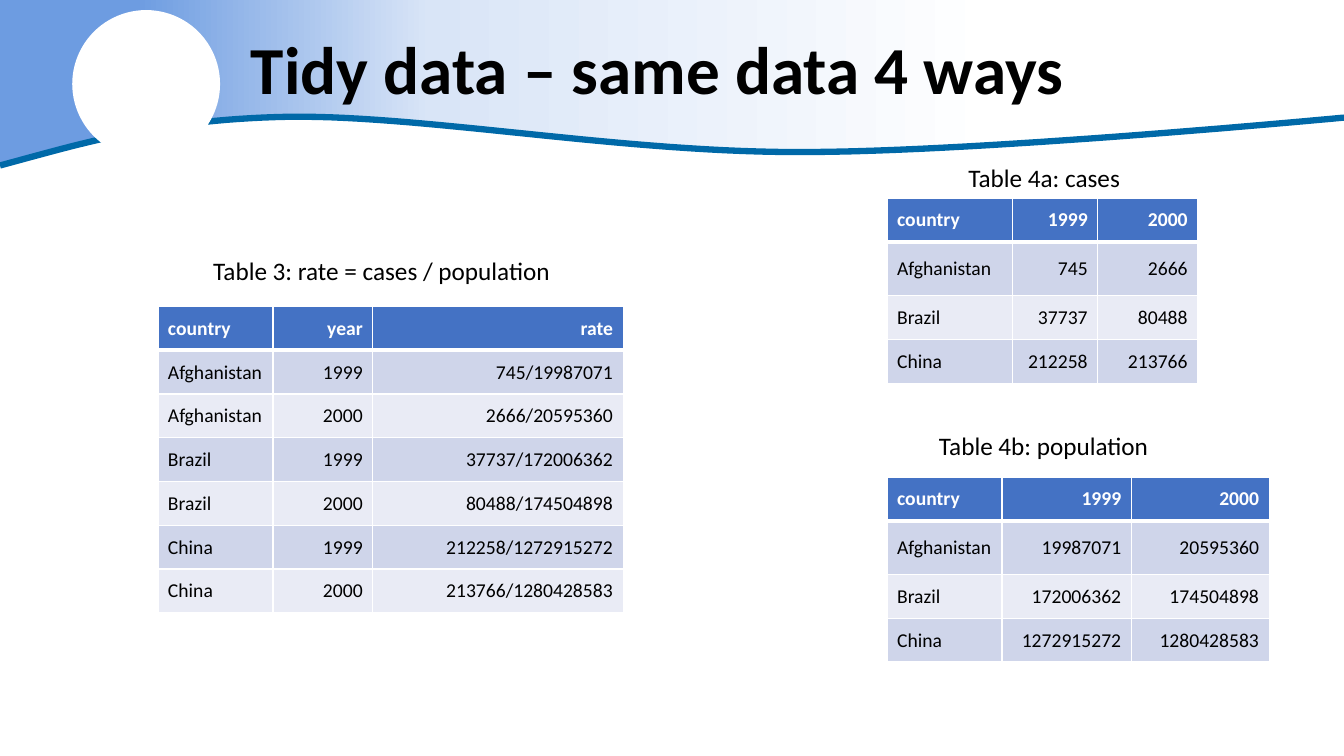
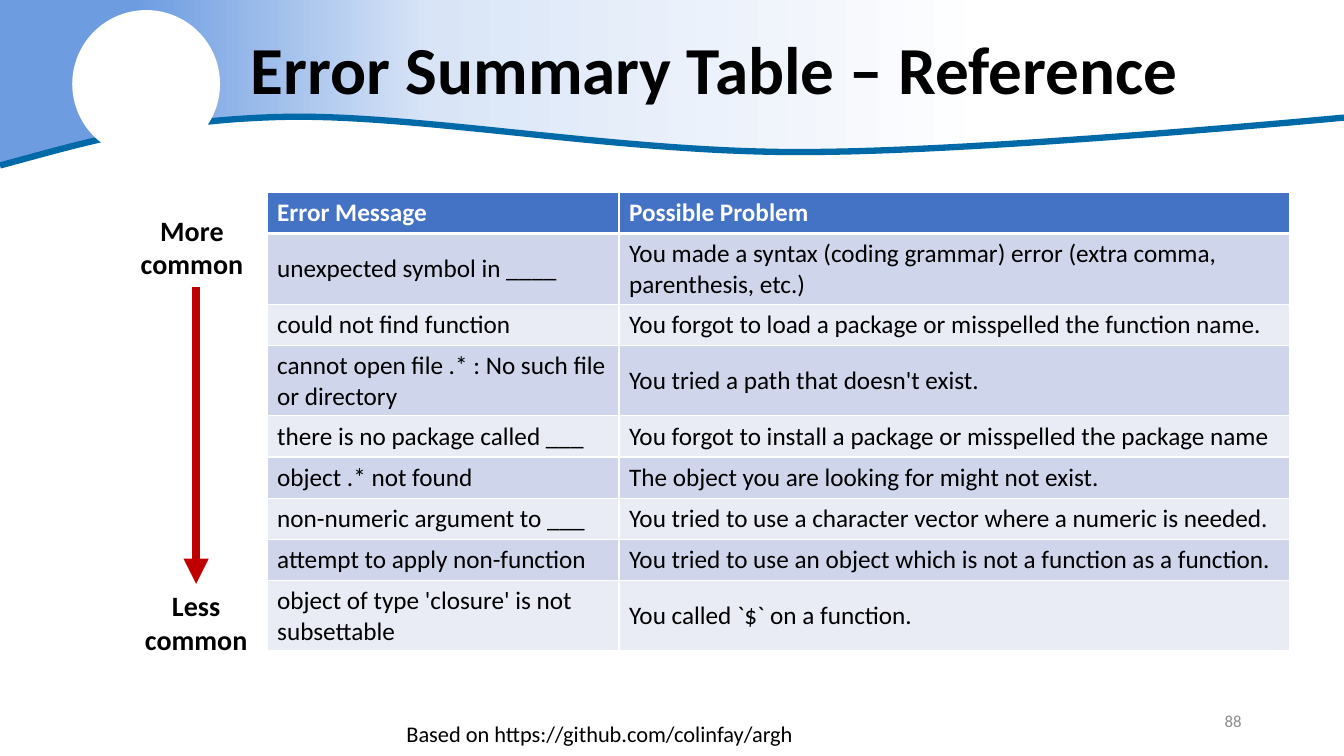
import pptx
import copy
import lxml.etree
import pptx.dml.color
import pptx.enum.shapes
import pptx.enum.text
import pptx.oxml.ns
import pptx.util

FONT = "Calibri"
BLACK, WHITE, GRAY = "000000", "FFFFFF", "8C8C8C"
HEADER_BLUE, BAND_DARK, BAND_LIGHT = "4472C4", "CFD5EA", "E9EBF5"
WAVE_BLUE, ARROW_RED = "0069A8", "C00000"
ALIGN = pptx.enum.text.PP_ALIGN
MIDDLE = pptx.enum.text.MSO_ANCHOR.MIDDLE
qn = pptx.oxml.ns.qn


def color(hex_string):
    return pptx.dml.color.RGBColor.from_string(hex_string)


def write_text(frame, text, size=18, bold=False, fill=BLACK, align=ALIGN.LEFT,
               anchor=None, spacing=None):
    frame.word_wrap = True
    if anchor is not None:
        frame.vertical_anchor = anchor
    paragraph = frame.paragraphs[0]
    paragraph.alignment = align
    paragraph.line_spacing = spacing
    run = paragraph.add_run()
    run.text = text
    run.font.name = FONT
    run.font.size = pptx.util.Pt(size)
    run.font.bold = bold
    run.font.color.rgb = color(fill)


# Grid of 160 columns by 90 rows; every length below counts its square cells
presentation = pptx.Presentation()
presentation.slide_width = pptx.util.Emu(12192000)
presentation.slide_height = pptx.util.Emu(6858000)
unit = presentation.slide_width // 160

# Wave as points along three joined Bezier curves
wave_knots = [(0, 19.7), (9, 17.3), (18.6, 14.2), (34.4, 13.9),
              (50.3, 13.7), (73.8, 18.1), (94.8, 18.1),
              (115.7, 18.2), (160, 14), (160, 14)]
steps = 30
wave = [(0, 19.7 * unit)]
for first in (0, 3, 6):
    for step in range(1, steps + 1):
        t = step / steps
        weights = ((1 - t) ** 3, 3 * t * (1 - t) ** 2, 3 * t ** 2 * (1 - t), t ** 3)
        curve = wave_knots[first:first + 4]
        wave.append(tuple(unit * sum(weight * knot[axis] for weight, knot in zip(weights, curve))
                          for axis in (0, 1)))

# Shared look: gradient band, wave line, white disc and title
slides = []
for title in ("Tidy data – same data 4 ways", "Error Summary Table – Reference"):
    slide = presentation.slides.add_slide(presentation.slide_layouts[6])
    slides.append(slide)

    builder = slide.shapes.build_freeform(0, 0)
    builder.add_line_segments(wave + [(160 * unit, 0)], close=True)
    band = builder.convert_to_shape()
    band.shadow.inherit = False
    band.line.fill.background()
    band.fill.gradient()
    band.fill.gradient_angle = 0
    stop_list = band._element.spPr.find(".//" + qn("a:gsLst"))
    stop_list.append(copy.deepcopy(stop_list[-1]))
    band_stops = ((0.10, "6D9CE1"), (0.32, "D9E5F7"), (0.74, WHITE))
    for stop, (position, stop_color) in zip(band.fill.gradient_stops, band_stops):
        stop.position = position
        stop.color.rgb = color(stop_color)

    builder = slide.shapes.build_freeform(*wave[0])
    builder.add_line_segments(wave[1:], close=False)
    wave_line = builder.convert_to_shape()
    wave_line.shadow.inherit = False
    wave_line.fill.background()
    wave_line.line.color.rgb = color(WAVE_BLUE)
    wave_line.line.width = pptx.util.Pt(4.5)

    disc = slide.shapes.add_shape(pptx.enum.shapes.MSO_SHAPE.OVAL,
                                  *(int(n * unit) for n in (8.6, 1.2, 17.6, 17.6)))
    disc.shadow.inherit = False
    disc.fill.solid()
    disc.fill.fore_color.rgb = color(WHITE)
    disc.line.fill.background()

    title_box = slide.shapes.add_textbox(*(int(n * unit) for n in (28.7, 0, 131.3, 17.4)))
    write_text(title_box.text_frame, title, size=48, bold=True, anchor=MIDDLE, spacing=0.9)

tidy_slide, error_slide = slides

# Table contents
rate_rows = [
    ("country", "year", "rate"),
    ("Afghanistan", "1999", "745/19987071"),
    ("Afghanistan", "2000", "2666/20595360"),
    ("Brazil", "1999", "37737/172006362"),
    ("Brazil", "2000", "80488/174504898"),
    ("China", "1999", "212258/1272915272"),
    ("China", "2000", "213766/1280428583"),
]
case_rows = [
    ("country", "1999", "2000"),
    ("Afghanistan", "745", "2666"),
    ("Brazil", "37737", "80488"),
    ("China", "212258", "213766"),
]
population_rows = [
    ("country", "1999", "2000"),
    ("Afghanistan", "19987071", "20595360"),
    ("Brazil", "172006362", "174504898"),
    ("China", "1272915272", "1280428583"),
]
error_rows = [
    ("Error Message", "Possible Problem"),
    ("unexpected symbol in ____",
     "You made a syntax (coding grammar) error (extra comma, parenthesis, etc.)"),
    ("could not find function", "You forgot to load a package or misspelled the function name."),
    ("cannot open file .* : No such file or directory", "You tried a path that doesn't exist."),
    ("there is no package called ___",
     "You forgot to install a package or misspelled the package name"),
    ("object .* not found", "The object you are looking for might not exist."),
    ("non-numeric argument to ___",
     "You tried to use a character vector where a numeric is needed."),
    ("attempt to apply non-function",
     "You tried to use an object which is not a function as a function."),
    ("object of type 'closure' is not subsettable", "You called `$` on a function."),
]

# Tables: slide, rows, left, top, column widths, row heights, size, margin, number alignment
short_heights = (5.2, 6.4, 5.2, 5.2)
error_heights = (4.9, 8.4, 4.9, 8.4, 4.9, 4.9, 4.9, 4.9, 8.4)
tables = [
    (tidy_slide, rate_rows, 18.8, 36.5, (13.7, 11.9, 29.8), (5.2,) * 7, 14, 1.2, ALIGN.RIGHT),
    (tidy_slide, case_rows, 105.6, 23.6, (14.9, 10.2, 11.9), short_heights, 14, 1.2, ALIGN.RIGHT),
    (tidy_slide, population_rows, 105.6, 56.8, (13.7, 15.4, 16.4), short_heights, 14, 1.2,
     ALIGN.RIGHT),
    (error_slide, error_rows, 31.8, 22.9, (41.9, 79.8), error_heights, 18, 0.6, ALIGN.LEFT),
]
for slide, rows, left, top, widths, heights, size, margin, later_align in tables:
    frame = slide.shapes.add_table(
        len(rows), len(widths),
        *(int(n * unit) for n in (left, top, sum(widths), sum(heights))))
    table = frame.table
    for column, width in zip(table.columns, widths):
        column.width = int(width * unit)
    for row_index, row in enumerate(rows):
        table.rows[row_index].height = int(heights[row_index] * unit)
        is_header = row_index == 0
        row_fill = HEADER_BLUE if is_header else (BAND_LIGHT, BAND_DARK)[row_index % 2]
        for column_index, text in enumerate(row):
            cell = table.cell(row_index, column_index)
            cell.vertical_anchor = MIDDLE
            cell.margin_left = cell.margin_right = int(1.2 * unit)
            cell.margin_top = cell.margin_bottom = int(margin * unit)
            write_text(cell.text_frame, text, size=size, bold=is_header,
                       fill=WHITE if is_header else BLACK,
                       align=later_align if column_index else ALIGN.LEFT)
            # White borders, thick below the header
            properties = cell._tc.get_or_add_tcPr()
            for side in ("lnL", "lnR", "lnT", "lnB"):
                thick = (row_index, side) in ((0, "lnB"), (1, "lnT"))
                border = lxml.etree.SubElement(properties, qn("a:" + side),
                                               w=str(pptx.util.Pt(3 if thick else 1)))
                border_fill = lxml.etree.SubElement(border, qn("a:solidFill"))
                lxml.etree.SubElement(border_fill, qn("a:srgbClr"), val=WHITE)
            cell.fill.solid()
            cell.fill.fore_color.rgb = color(row_fill)

# Captions, scale labels, source and page number
scale_label = dict(size=20, bold=True, align=ALIGN.CENTER)
texts = [
    (tidy_slide, (24.2, 29.8, 44.5, 4.8), "Table 3: rate = cases / population", {}),
    (tidy_slide, (114.1, 18.7, 27, 4.8), "Table 4a: cases", {}),
    (tidy_slide, (110.6, 50.6, 29.4, 4.8), "Table 4b: population", {}),
    (error_slide, (113, 83.4, 36, 4.8), "88",
     dict(size=12, fill=GRAY, align=ALIGN.RIGHT, anchor=MIDDLE)),
    (error_slide, (47.2, 85.1, 65.8, 4.4), "Based on https://github.com/colinfay/argh",
     dict(size=16)),
    (error_slide, (13.9, 24.8, 17.9, 9.2), "More common", scale_label),
    (error_slide, (14.4, 69.5, 17.9, 9.2), "Less common", scale_label),
]
boxes = {}
for slide, place, text, text_format in texts:
    boxes[text] = slide.shapes.add_textbox(*(int(n * unit) for n in place))
    write_text(boxes[text].text_frame, text, **text_format)

# Arrow from more to less common
arrow = error_slide.shapes.add_connector(
    pptx.enum.shapes.MSO_CONNECTOR.STRAIGHT,
    *(int(n * unit) for n in (23.35, 34.2, 23.35, 69.5)))
arrow.end_connect(boxes["Less common"], 0)
arrow.line.color.rgb = color(ARROW_RED)
arrow.line.width = pptx.util.Pt(6)
lxml.etree.SubElement(arrow.line._get_or_add_ln(), qn("a:tailEnd"), type="triangle")
lxml.etree.SubElement(arrow._element.spPr, qn("a:effectLst"))

presentation.save("out.pptx")
